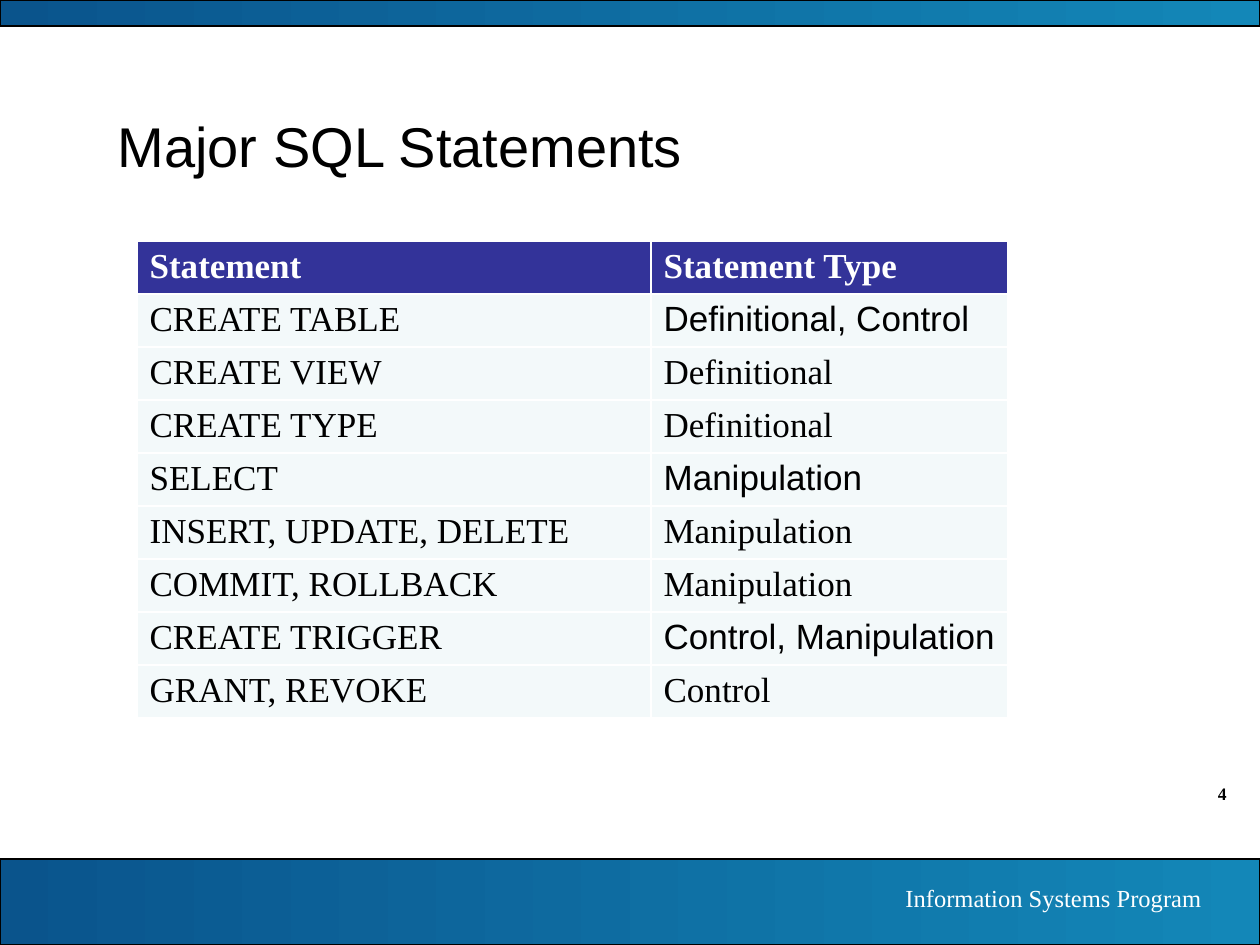
from pptx import Presentation
from pptx.dml.color import RGBColor
from pptx.enum.shapes import MSO_SHAPE as Shape
from pptx.enum.text import MSO_ANCHOR as Anchor, PP_ALIGN as Align
from pptx.util import Emu, Pt

PX_PER_INCH = 126
SERIF, SANS = "Times New Roman", "Arial"
COLORS = {
    "band_start": "0A548C",
    "band_end": "1387B8",
    "header": "333399",
    "body": "F3F9FA",
    "text": "000000",
    "light": "FFFFFF",
}
HEADINGS = ("Statement", "Statement Type")
# Statement, statement type, font of the type
STATEMENTS = [
    ("CREATE TABLE", "Definitional, Control", SANS),
    ("CREATE VIEW", "Definitional", SERIF),
    ("CREATE TYPE", "Definitional", SERIF),
    ("SELECT", "Manipulation", SANS),
    ("INSERT, UPDATE, DELETE", "Manipulation", SERIF),
    ("COMMIT, ROLLBACK", "Manipulation", SERIF),
    ("CREATE TRIGGER", "Control, Manipulation", SANS),
    ("GRANT, REVOKE", "Control", SERIF),
]


def px(length):
    return Emu(round(length * 914400 / PX_PER_INCH))


def color(name):
    return RGBColor.from_string(COLORS[name])


def write(frame, text, size, font=SERIF, ink="text", bold=False, align=Align.LEFT):
    paragraph = frame.paragraphs[0]
    paragraph.text = text
    paragraph.alignment = align
    paragraph.font.name = font
    paragraph.font.size = Pt(size)
    paragraph.font.bold = bold
    paragraph.font.color.rgb = color(ink)


def add_band(slide, box):
    band = slide.shapes.add_shape(Shape.RECTANGLE, *map(px, box))
    band.shadow.inherit = False
    band.fill.gradient()
    band.fill.gradient_angle = 0
    for stop, name in zip(band.fill.gradient_stops, ("band_start", "band_end")):
        stop.color.rgb = color(name)
    band.line.color.rgb = color("text")
    band.line.width = Pt(0.75)


def add_label(slide, box, text, size, **style):
    label = slide.shapes.add_textbox(*map(px, box))
    label.text_frame.word_wrap = True
    write(label.text_frame, text, size, align=Align.RIGHT, **style)


def place_title(slide, box, text):
    title = slide.shapes.title
    title.left, title.top, title.width, title.height = map(px, box)
    title.text_frame.vertical_anchor = Anchor.TOP
    write(title.text_frame, text, 32, font=SANS)


def fill_cell(cell, text, fill, **style):
    cell.fill.solid()
    cell.fill.fore_color.rgb = color(fill)
    cell.margin_top, cell.margin_bottom = px(6), px(5)
    write(cell.text_frame, text, 20, **style)


def add_statement_table(slide, box, column_widths):
    row_count = len(STATEMENTS) + 1
    table = slide.shapes.add_table(row_count, len(HEADINGS), *map(px, box)).table
    for column, width in zip(table.columns, column_widths):
        column.width = px(width)
    for row in table.rows:
        row.height = px(box[3] / row_count)
    for index, heading in enumerate(HEADINGS):
        fill_cell(table.cell(0, index), heading, "header", ink="light", bold=True)
    for index, (statement, kind, font) in enumerate(STATEMENTS, start=1):
        fill_cell(table.cell(index, 0), statement, "body")
        fill_cell(table.cell(index, 1), kind, "body", font=font)


def main():
    presentation = Presentation()
    presentation.slide_width, presentation.slide_height = px(1260), px(945)
    slide = presentation.slides.add_slide(presentation.slide_layouts[5])

    # Page number, bands and footer
    add_label(slide, (1134, 777, 105, 34), "4", 10, bold=True)
    add_band(slide, (0, 859, 1260, 86))
    add_band(slide, (0, 0, 1260, 26))
    add_label(slide, (699, 877, 515, 43), "Information Systems Program", 14, ink="light")

    # Title and table
    place_title(slide, (105, 105, 1092, 157), "Major SQL Statements")
    add_statement_table(slide, (137, 241, 871, 465), (514, 357))

    presentation.save("out.pptx")


if __name__ == "__main__":
    main()
